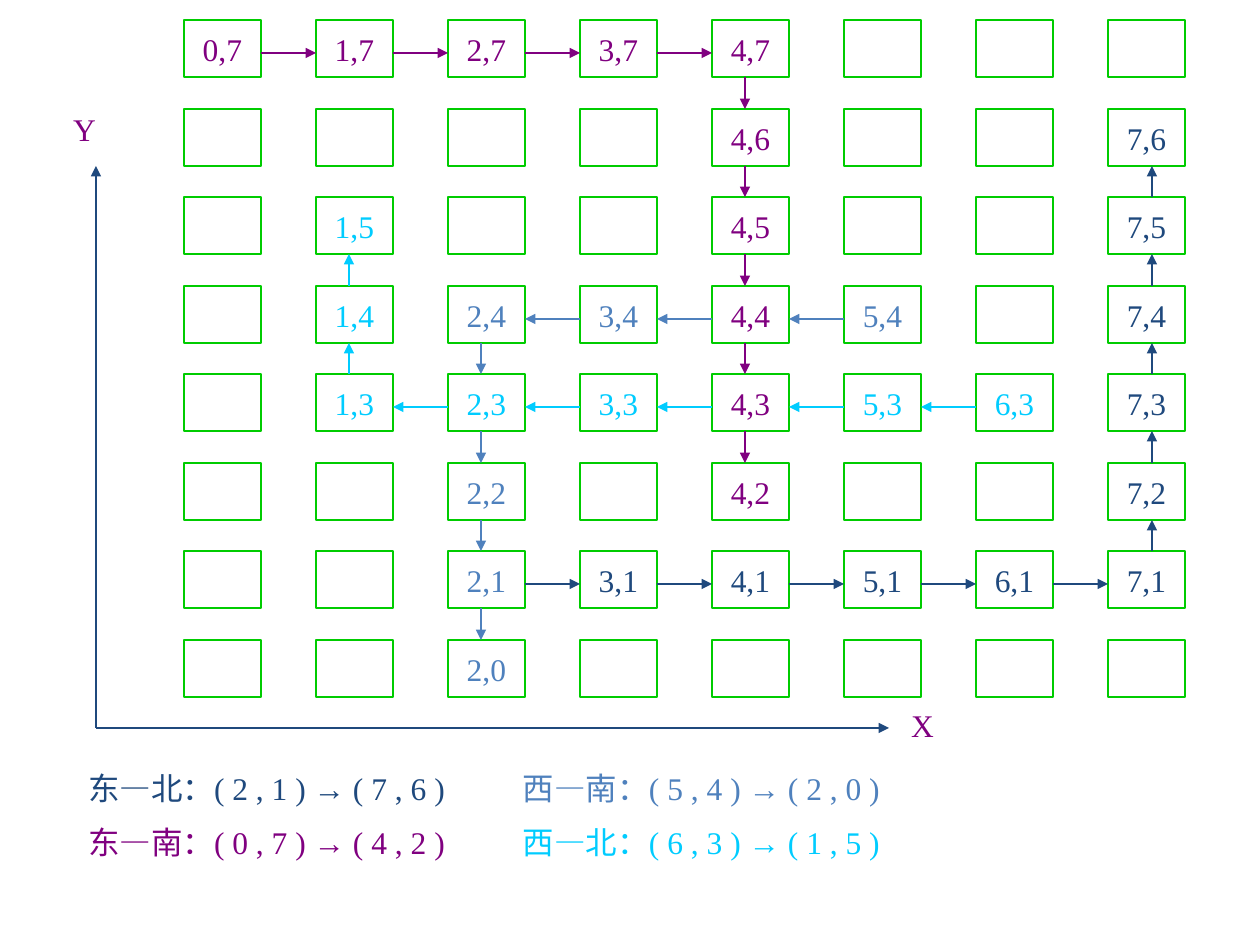
from dataclasses import dataclass
from typing import Iterator

import lxml.etree
import pptx
import pptx.dml.color
import pptx.enum.shapes
import pptx.enum.text
import pptx.oxml.ns
import pptx.util

PX_PER_INCH = 126
COUNT = 8
LEFT, TOP, PITCH_X, SPAN_Y = 184, 20, 132, 620
CELL_W, CELL_H = 77, 57
LANE, LAST_LANE = 33, 44
NAVY, BLUE, CYAN, PURPLE, GREEN = "1F497D", "4F81BD", "00CCFF", "800080", "00CC00"
FONT = "Times New Roman"

Node = tuple[int, int]


@dataclass
class Route:
    color: str
    corners: list[Node]
    caption: str

    def nodes(self) -> Iterator[Node]:
        yield self.corners[0]
        for (x, y), (end_x, end_y) in zip(self.corners, self.corners[1:]):
            while (x, y) != (end_x, end_y):
                x += (end_x > x) - (end_x < x)
                y += (end_y > y) - (end_y < y)
                yield x, y


@dataclass
class AxisLabel:
    text: str
    x: int
    y: int


ROUTES = [
    Route(NAVY, [(2, 1), (7, 1), (7, 6)], "东—北：( 2 , 1 ) → ( 7 , 6 )"),
    Route(BLUE, [(5, 4), (2, 4), (2, 0)], "西—南：( 5 , 4 ) → ( 2 , 0 )"),
    Route(CYAN, [(6, 3), (1, 3), (1, 5)], "西—北：( 6 , 3 ) → ( 1 , 5 )"),
    Route(PURPLE, [(0, 7), (4, 7), (4, 2)], "东—南：( 0 , 7 ) → ( 4 , 2 )"),
]
LEGEND = [(ROUTES[0], ROUTES[1]), (ROUTES[3], ROUTES[2])]
AXIS_LABELS = [AxisLabel("Y", 73, 110), AxisLabel("X", 911, 706)]
AXIS_ENDS = [(96, 166), (889, 728)]


def px(n: int) -> int:
    return round(n * pptx.util.Inches(1) / PX_PER_INCH)


def rgb(color: str) -> pptx.dml.color.RGBColor:
    return pptx.dml.color.RGBColor.from_string(color)


def set_all(target, values: dict) -> None:
    for name, value in values.items():
        setattr(target, name, value)


def cell_left(col: int) -> int:
    return LEFT + col * PITCH_X


def cell_top(row: int) -> int:
    return TOP + round((COUNT - 1 - row) * SPAN_Y / (COUNT - 1))


def set_line(line, color: str) -> None:
    line.color.rgb = rgb(color)
    line.width = pptx.util.Pt(1.5)


def add_run(p, text: str, color: str) -> None:
    r = p.add_run()
    r.text = text
    set_all(r.font, {"size": pptx.util.Pt(18), "name": FONT})
    r.font.color.rgb = rgb(color)


def add_cell(s, node: Node, color: str | None) -> None:
    col, row = node
    sp = s.shapes.add_shape(
        pptx.enum.shapes.MSO_SHAPE.RECTANGLE,
        px(cell_left(col)), px(cell_top(row)), px(CELL_W), px(CELL_H))
    sp.shadow.inherit = False
    sp.fill.background()
    set_line(sp.line, GREEN)
    if color:
        tf = sp.text_frame
        set_all(tf, {"word_wrap": False,
                     "vertical_anchor": pptx.enum.text.MSO_ANCHOR.MIDDLE})
        p = tf.paragraphs[0]
        p.alignment = pptx.enum.text.PP_ALIGN.CENTER
        add_run(p, f"{col},{row}", color)


def add_arrow(s, start: Node, end: Node, color: str) -> None:
    sp = s.shapes.add_connector(
        pptx.enum.shapes.MSO_CONNECTOR.STRAIGHT, *map(px, start + end))
    set_line(sp.line, color)
    ln = sp.line._get_or_add_ln()
    lxml.etree.SubElement(ln, pptx.oxml.ns.qn("a:tailEnd"), type="triangle")
    lxml.etree.SubElement(sp._element.spPr, pptx.oxml.ns.qn("a:effectLst"))


def add_step(s, start: Node, end: Node, color: str) -> None:
    (x1, y1), (x2, y2) = start, end
    if y1 == y2:
        y = cell_top(y1) + LANE
        begin = cell_left(x1) + (CELL_W if x2 > x1 else 0)
        finish = cell_left(x2) + (CELL_W if x2 < x1 else 0)
        add_arrow(s, (begin, y), (finish, y), color)
    else:
        x = cell_left(x1) + (LAST_LANE if x1 == COUNT - 1 else LANE)
        begin = cell_top(y1) + (CELL_H if y2 < y1 else 0)
        finish = cell_top(y2) + (CELL_H if y2 > y1 else 0)
        add_arrow(s, (x, begin), (x, finish), color)


def add_text_box(s, x: int, y: int, w: int, h: int, inset: int = 0):
    tf = s.shapes.add_textbox(px(x), px(y), px(w), px(h)).text_frame
    set_all(tf, {"margin_left": px(inset), "margin_top": 0,
                 "margin_right": 0, "margin_bottom": 0, "word_wrap": True,
                 "auto_size": pptx.enum.text.MSO_AUTO_SIZE.SHAPE_TO_FIT_TEXT})
    return tf


def add_legend(s) -> None:
    tf = add_text_box(s, 73, 769, 1113, 126, inset=15)
    for i, (first, second) in enumerate(LEGEND):
        p = tf.add_paragraph() if i else tf.paragraphs[0]
        if i:
            p.space_before = pptx.util.Pt(9)
        tabs = lxml.etree.SubElement(
            p._p.get_or_add_pPr(), pptx.oxml.ns.qn("a:tabLst"))
        lxml.etree.SubElement(
            tabs, pptx.oxml.ns.qn("a:tab"), pos=str(px(435)), algn="l")
        add_run(p, first.caption + "\t", first.color)
        add_run(p, second.caption, second.color)


def main() -> None:
    prs = pptx.Presentation()
    set_all(prs, {"slide_width": pptx.util.Inches(10),
                  "slide_height": pptx.util.Inches(7.5)})
    s = prs.slides.add_slide(prs.slide_layouts[6])
    colors = {node: route.color for route in ROUTES for node in route.nodes()}
    colors[ROUTES[0].corners[0]] = BLUE
    for row in reversed(range(COUNT)):
        for col in range(COUNT):
            add_cell(s, (col, row), colors.get((col, row)))
    for end in AXIS_ENDS:
        add_arrow(s, (96, 728), end, NAVY)
    for label in AXIS_LABELS:
        tf = add_text_box(s, label.x, label.y, 44, 50)
        add_run(tf.paragraphs[0], label.text, PURPLE)
    for route in ROUTES:
        nodes = list(route.nodes())
        for start, end in zip(nodes, nodes[1:]):
            add_step(s, start, end, route.color)
    add_legend(s)
    prs.save("out.pptx")


if __name__ == "__main__":
    main()
